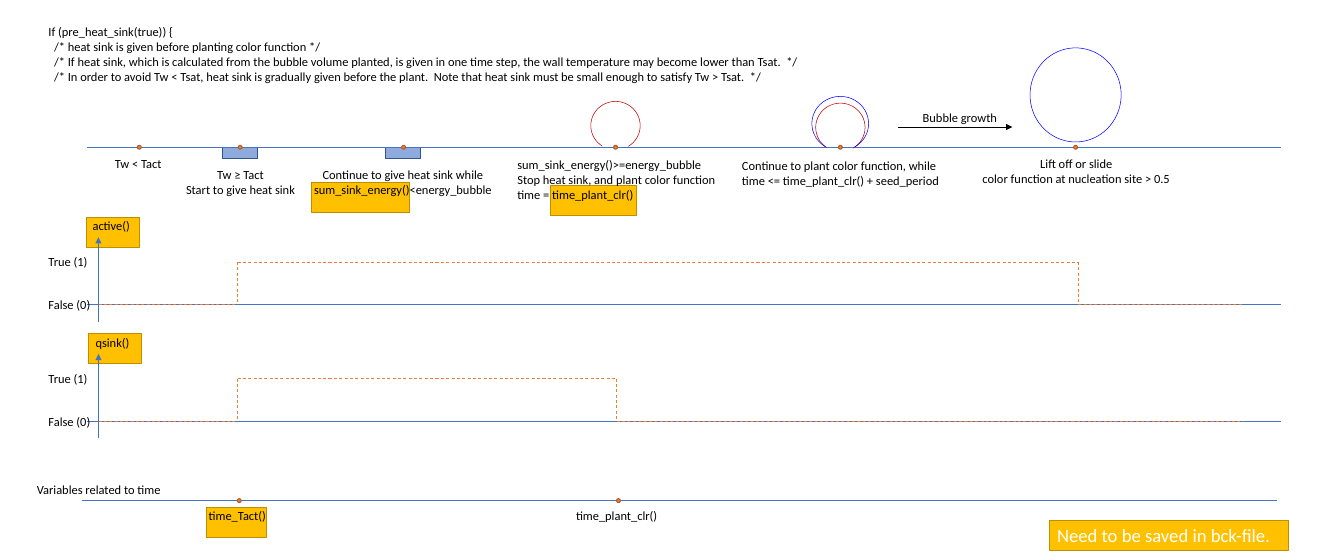
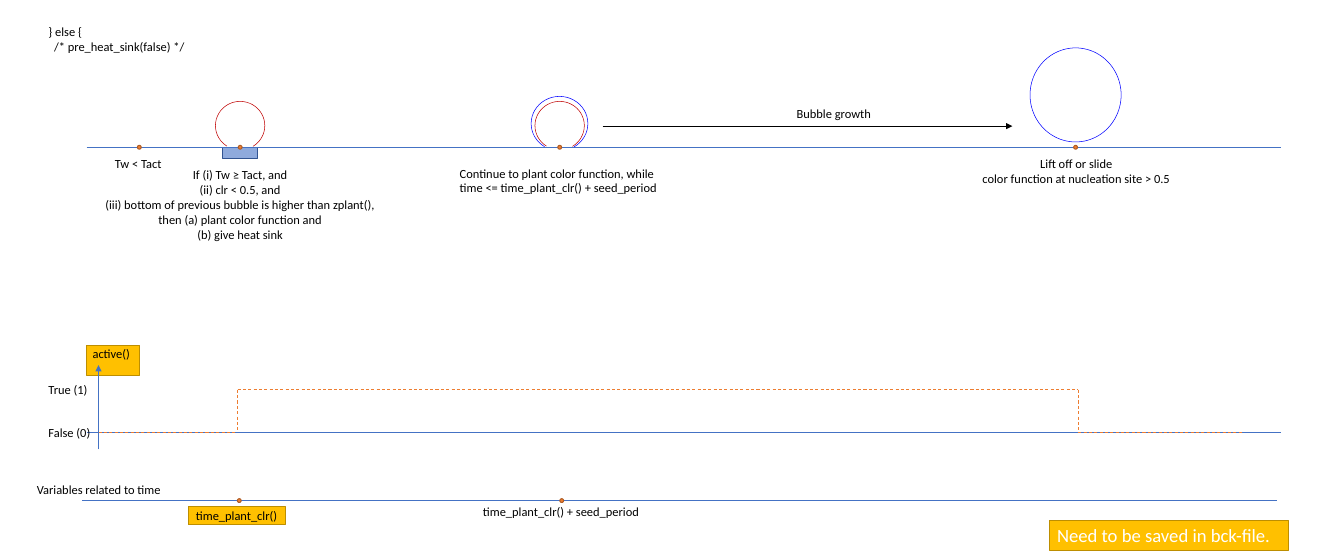
from lxml import etree
from pptx import Presentation
from pptx.dml.color import RGBColor
from pptx.enum import dml, shapes, text
from pptx.oxml import ns
from pptx.util import Cm, Pt

BLACK = RGBColor(0x00, 0x00, 0x00)
WHITE = RGBColor(0xFF, 0xFF, 0xFF)
GOLD = RGBColor(0xFF, 0xC0, 0x00)
GOLD_EDGE = RGBColor(0xBD, 0x8E, 0x00)
ORANGE = RGBColor(0xED, 0x7D, 0x31)
ORANGE_EDGE = RGBColor(0xAF, 0x5C, 0x24)
SINK = RGBColor(0x8F, 0xAA, 0xDC)
SINK_EDGE = RGBColor(0x32, 0x54, 0x91)
AXIS = RGBColor(0x44, 0x72, 0xC4)
SEED = RGBColor(0xC0, 0x00, 0x00)
BUBBLE = RGBColor(0x00, 0x00, 0xFF)

RECT = shapes.MSO_SHAPE.RECTANGLE
OVAL = shapes.MSO_SHAPE.OVAL
ARC = shapes.MSO_SHAPE.ARC
LEFT = text.PP_ALIGN.LEFT
CENTER = text.PP_ALIGN.CENTER

WALL_Y = 5
TIME_Y = 17.02
DOT = 0.13
AXIS_X = 3.35
RISE_X = 8.08
LIFT_X = 36.59

PLANT = "Continue to plant color function, while\ntime <= time_plant_clr() + seed_period"

scenarios = [
    {
        "highlights": [(7.04, 17.27, 2.03, 1.02), (18.72, 6.32, 2.92, 1.02), (10.59, 6.2, 3.35, 1.02)],
        "sinks": [8.17, 13.73],
        "sites": [4.74, 8.17, 13.73, 20.94, 28.59, LIFT_X],
        "seeds": [(20.94, 3.45), (28.59, 3.51)],
        "grown": 28.59,
        "growth": (30.56, 4.32),
        "times": [8.14, 21.04],
        "flags": [("active()", 10.36, 2.95, 2.9, 1.88, 36.68), ("qsink()", 14.33, 3, 3, 1.68, 20.98)],
        "labels": [
            ("If (pre_heat_sink(true)) {\n"
             "/* heat sink is given before planting color function */\n"
             "/* If heat sink, which is calculated from the bubble volume planted, is given in one time step, "
             "the wall temperature may become lower than Tsat.  */\n"
             "/* In order to avoid Tw < Tsat, heat sink is gradually given before the plant.  "
             "Note that heat sink must be small enough to satisfy Tw > Tsat.  */",
             1.4, 0.71, 26.31, 2.31, LEFT),
            ("Tw ≥ Tact\nStart to give heat sink", 6.05, 5.56, 4.27, 1.27, CENTER),
            ("Continue to give heat sink while\nsum_sink_energy()<energy_bubble", 10.41, 5.56, 6.6, 1.8, CENTER),
            ("sum_sink_energy()>=energy_bubble\nStop heat sink, and plant color function\n"
             "time = time_plant_clr()", 17.35, 5.21, 7.32, 1.8, LEFT),
            (PLANT, 24.99, 5.26, 7.32, 1.27, LEFT),
            ("Bubble growth", 31.14, 3.61, 3.07, 0.76, LEFT),
            ("time_Tact()", 6.83, 17.15, 2.49, 0.76, CENTER),
            ("time_plant_clr()", 19.33, 17.15, 3.3, 0.76, CENTER),
        ],
    },
    {
        "highlights": [(6.4, 17.22, 3.3, 0.64)],
        "sinks": [8.17],
        "sites": [4.74, 8.17, 19.04, LIFT_X],
        "seeds": [(8.17, 3.45), (19.04, 3.45)],
        "grown": 19.04,
        "growth": (20.5, 4.29),
        "times": [8.14, 19.11],
        "flags": [("active()", 14.71, 2.95, 2.9, 1.88, 36.68)],
        "labels": [
            ("} else {\n/* pre_heat_sink(false) */", 1.4, 0.71, 5.21, 1.27, LEFT),
            ("If (i) Tw ≥ Tact, and\n(ii) clr < 0.5, and\n"
             "(iii) bottom of previous bubble is higher than zplant(),\n"
             "then (a) plant color function and\n(b) give heat sink", 3.28, 5.56, 9.78, 2.82, CENTER),
            (PLANT, 15.39, 5.51, 7.32, 1.27, LEFT),
            ("Bubble growth", 26.85, 3.48, 3.07, 0.76, LEFT),
            ("time_plant_clr()", 6.4, 17.15, 3.3, 0.76, CENTER),
            ("time_plant_clr() + seed_period", 16.18, 17.04, 5.89, 0.76, LEFT),
        ],
    },
]

shared_labels = [
    ("Tw < Tact", 3.66, 5.18, 2.13, 0.76, LEFT),
    ("Lift off or slide\ncolor function at nucleation site > 0.5", 33.12, 5.18, 6.99, 1.27, CENTER),
    ("Variables related to time", 0.97, 16.28, 4.78, 0.76, CENTER),
]


def add_figure(slide, preset, left, top, width, height, fill, edge, weight=1):
    figure = slide.shapes.add_shape(preset, Cm(left), Cm(top), Cm(width), Cm(height))
    figure.shadow.inherit = False
    if fill is None:
        figure.fill.background()
    else:
        figure.fill.solid()
        figure.fill.fore_color.rgb = fill
    figure.line.color.rgb = edge
    figure.line.width = Pt(weight)
    if preset == ARC:
        figure.adjustments[0] = 73.72
        figure.adjustments[1] = 34.88
    return figure


def add_line(slide, x1, y1, x2, y2, color, weight=0.5, dashed=False, arrow=False):
    line = slide.shapes.add_connector(shapes.MSO_CONNECTOR.STRAIGHT, Cm(x1), Cm(y1), Cm(x2), Cm(y2))
    line.line.color.rgb = color
    line.line.width = Pt(weight)
    if dashed:
        line.line.dash_style = dml.MSO_LINE.DASH
    if arrow:
        etree.SubElement(line.line._get_or_add_ln(), ns.qn("a:tailEnd"), type="triangle")
    etree.SubElement(line._element.spPr, ns.qn("a:effectLst"))


deck = Presentation()
deck.slide_width = Cm(45.72)
deck.slide_height = Cm(19.05)

for scenario in scenarios:
    slide = deck.slides.add_slide(deck.slide_layouts[6])
    labels = scenario["labels"] + shared_labels

    for area in scenario["highlights"]:
        add_figure(slide, RECT, *area, GOLD, GOLD_EDGE)
    for x in scenario["sinks"]:
        add_figure(slide, RECT, x - 0.6, WALL_Y + 0.02, 1.19, 0.38, SINK, SINK_EDGE)

    add_line(slide, 2.95, WALL_Y, 43.59, WALL_Y, AXIS)
    add_line(slide, 2.79, TIME_Y, 43.43, TIME_Y, AXIS)
    dots = [(x, WALL_Y) for x in scenario["sites"]] + [(x, TIME_Y) for x in scenario["times"]]
    for x, y in dots:
        add_figure(slide, OVAL, x - DOT / 2, y - DOT / 2 + 0.01, DOT, DOT, ORANGE, ORANGE_EDGE)

    for x, top in scenario["seeds"]:
        add_figure(slide, ARC, x - 0.84, top, 1.68, 1.65, None, SEED, 0.5)
    add_figure(slide, ARC, scenario["grown"] - 0.97, 3.28, 1.93, 1.85, None, BUBBLE, 0.5)
    add_figure(slide, OVAL, LIFT_X - 1.55, 1.63, 3.1, 3.2, None, BUBBLE, 0.5)
    growth_x, growth_y = scenario["growth"]
    add_line(slide, growth_x, growth_y, 34.44, growth_y, BLACK, arrow=True)

    for name, zero_y, box_x, name_x, name_width, fall_x in scenario["flags"]:
        true_y = zero_y - 1.45
        add_figure(slide, RECT, box_x, zero_y - 2.97, 1.8, 1.02, GOLD, GOLD_EDGE)
        add_line(slide, 2.95, zero_y, 43.59, zero_y, AXIS)
        for step in [
            (AXIS_X, zero_y, RISE_X, zero_y),
            (RISE_X, true_y, RISE_X, zero_y),
            (RISE_X, true_y, fall_x, true_y),
            (fall_x, true_y, fall_x, zero_y),
            (fall_x, zero_y, 42.32, zero_y),
        ]:
            add_line(slide, *step, ORANGE, 0.75, dashed=True)
        add_line(slide, AXIS_X, zero_y + 0.58, AXIS_X, zero_y - 2.29, AXIS, arrow=True)
        labels += [
            (name, name_x, zero_y - 3.07, name_width, 0.76, LEFT),
            ("True (1)", 1.4, true_y - 0.38, 1.85, 0.76, LEFT),
            ("False (0)", 1.4, zero_y - 0.38, 1.96, 0.76, LEFT),
        ]

    for words, left, top, width, height, align in labels:
        frame = slide.shapes.add_textbox(Cm(left), Cm(top), Cm(width), Cm(height)).text_frame
        frame.text = words
        frame.word_wrap = False
        frame.auto_size = text.MSO_AUTO_SIZE.SHAPE_TO_FIT_TEXT
        for paragraph in frame.paragraphs:
            paragraph.alignment = align
            if paragraph.text.startswith("/*"):
                paragraph._p.get_or_add_pPr().set("marL", str(Cm(0.19)))
            font = paragraph.runs[0].font
            font.name = "Calibri"
            font.size = Pt(12)
            font.color.rgb = BLACK

    legend = add_figure(slide, RECT, 35.71, 17.7, 8.13, 1.02, GOLD, GOLD_EDGE).text_frame
    legend.text = "Need to be saved in bck-file."
    legend.word_wrap = True
    legend.paragraphs[0].alignment = LEFT
    font = legend.paragraphs[0].runs[0].font
    font.name = "Calibri"
    font.size = Pt(18)
    font.color.rgb = WHITE

deck.save("out.pptx")
